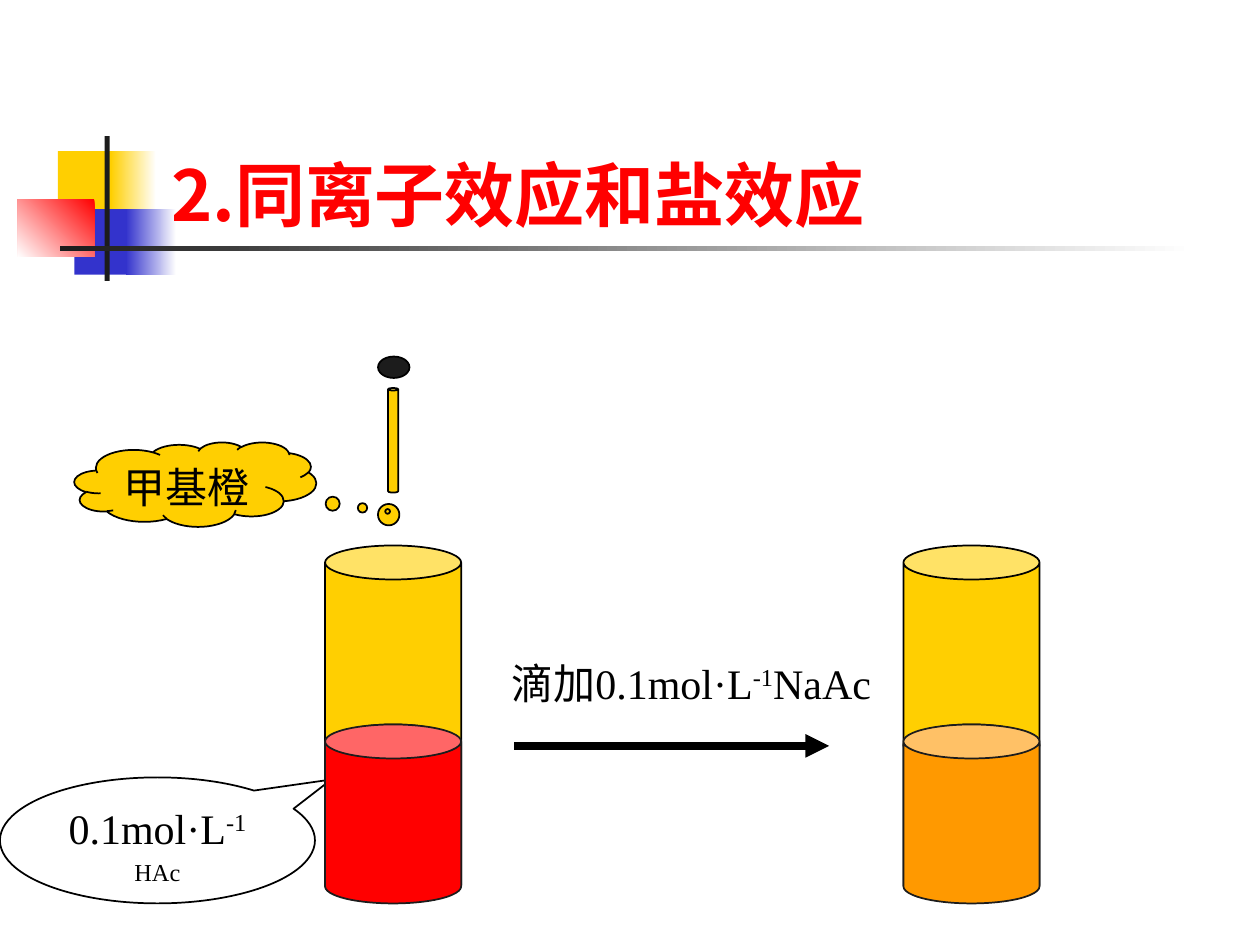
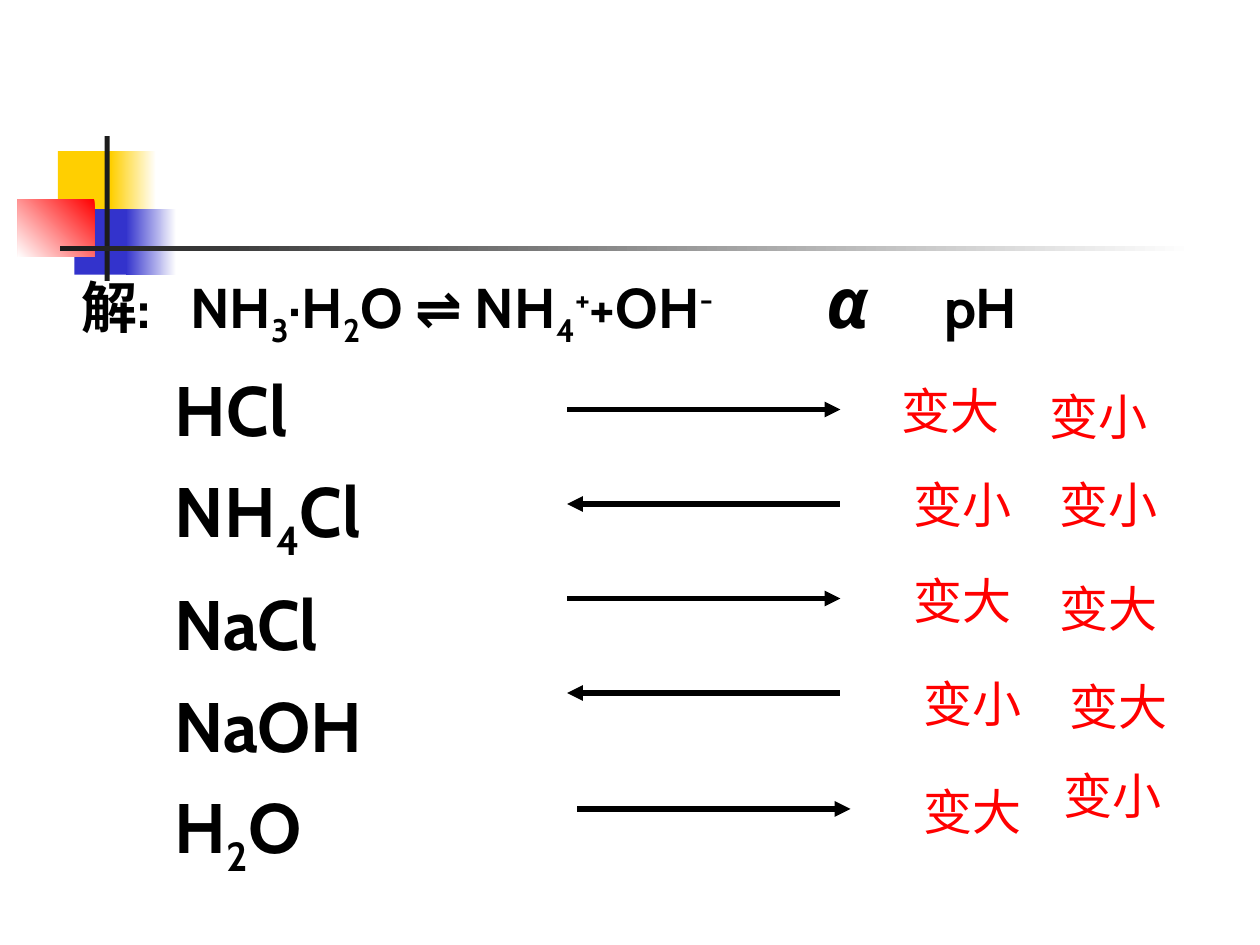
import dataclasses
import typing

import pptx
import pptx.dml.color
import pptx.enum.dml
import pptx.enum.shapes
import pptx.enum.text
import pptx.oxml
import pptx.oxml.ns
import pptx.util

Inches = pptx.util.Inches
Pt = pptx.util.Pt
Kind = pptx.enum.shapes.MSO_SHAPE
Align = pptx.enum.text.PP_ALIGN
Anchor = pptx.enum.text.MSO_ANCHOR

# Shared colours and fonts
GOLD, BLUE, RED, AMBER = "FFCF01", "3333CC", "FF0000", "FF9900"
WHITE, BLACK, DARK = "FFFFFF", "000000", "1C1C1C"
HAN, SERIF, SANS = "Noto Sans CJK SC", "Times New Roman", "Cabin"
SUB, SUP = -25, 30


class Box(typing.NamedTuple):
    left: float
    top: float
    width: float
    height: float


class Bit(typing.NamedTuple):
    text: str
    base: int = 0
    size: float = 0
    slant: bool = False


@dataclasses.dataclass(frozen=True)
class Style:
    font: str
    size: float
    color: str = BLACK
    bold: bool = False


@dataclasses.dataclass(frozen=True)
class Band:
    box: Box
    start: str
    end: str = ""
    angle: float = 180


@dataclasses.dataclass(frozen=True)
class Shift:
    left: float
    top: float
    back: bool
    alpha: tuple[str, float, float]
    acid: tuple[str, float, float]


TITLE = Style(HAN, 40, RED, True)
LABEL = Style(SERIF, 24)
MARK = Style(SERIF, 28, RED)
HEAD = Style(SANS, 32, bold=True)
ITEM = Style(SANS, 40, bold=True)

BANDS = [
    Band(Box(0.46, 1.2, 0.48, 0.52), GOLD),
    Band(Box(0.88, 1.2, 0.36, 0.52), WHITE, GOLD),
    Band(Box(0.59, 1.66, 0.46, 0.52), BLUE),
    Band(Box(1, 1.66, 0.4, 0.52), WHITE, BLUE),
    Band(Box(0.14, 1.58, 0.61, 0.46), RED, WHITE, 225),
    Band(Box(0.83, 1.08, 0.04, 1.15), DARK),
    Band(Box(0.48, 1.95, 9, 0.04), WHITE, DARK),
]


def tint(code: str):
    return pptx.dml.color.RGBColor.from_string(code)


def add_form(slide, kind, box: Box, fill: str, line: str = "", adjust=()):
    form = slide.shapes.add_shape(kind, *map(Inches, box))
    form.shadow.inherit = False
    form.fill.solid()
    form.fill.fore_color.rgb = tint(fill)
    if line:
        form.line.color.rgb = tint(line)
        form.line.width = Pt(1)
    else:
        form.line.fill.background()
    for index, value in enumerate(adjust):
        form.adjustments[index] = value
    return form


def add_band(slide, band: Band) -> None:
    form = add_form(slide, Kind.RECTANGLE, band.box, band.start)
    if band.end:
        form.fill.gradient()
        form.fill.gradient_angle = band.angle
        for stop, code in zip(form.fill.gradient_stops, (band.start, band.end)):
            stop.color.rgb = tint(code)


def add_bits(para, bits: list[Bit], style: Style) -> None:
    for bit in bits:
        run = para.add_run()
        run.text = bit.text
        font = run.font
        font.name = style.font
        font.size = Pt(bit.size or style.size)
        font.bold = style.bold
        font.italic = bit.slant
        font.color.rgb = tint(style.color)
        props = run._r.get_or_add_rPr()
        if bit.base:
            props.set("baseline", str(bit.base * 1000))
        east = pptx.oxml.parse_xml(
            f'<a:ea {pptx.oxml.ns.nsdecls("a")} typeface="{HAN}"/>')
        props.find(pptx.oxml.ns.qn("a:latin")).addnext(east)


def fill_text(form, lines: list[list[Bit]], style: Style, align=Align.LEFT):
    frame = form.text_frame
    frame.word_wrap = True
    frame.vertical_anchor = Anchor.TOP
    for index, bits in enumerate(lines):
        para = frame.add_paragraph() if index else frame.paragraphs[0]
        para.alignment = align
        add_bits(para, bits, style)
    return frame


def add_text(slide, box: Box, lines: list[list[Bit]], style: Style):
    return fill_text(slide.shapes.add_textbox(*map(Inches, box)), lines, style)


def add_tag(slide, box: Box, bits: list[Bit], style: Style) -> None:
    frame = add_text(slide, box, [bits], style)
    frame.auto_size = pptx.enum.text.MSO_AUTO_SIZE.SHAPE_TO_FIT_TEXT


def add_arrow(slide, left: float, top: float, width: float, weight: float,
              back: bool = False) -> None:
    line = slide.shapes.add_connector(
        pptx.enum.shapes.MSO_CONNECTOR.STRAIGHT,
        Inches(left), Inches(top), Inches(left + width), Inches(top))
    line.line.color.rgb = tint(BLACK)
    line.line.width = Pt(weight)
    space = pptx.oxml.ns.nsdecls("a")
    end = "headEnd" if back else "tailEnd"
    line.line._get_or_add_ln().append(
        pptx.oxml.parse_xml(f'<a:{end} {space} type="triangle"/>'))
    line._element.spPr.append(pptx.oxml.parse_xml(f"<a:effectLst {space}/>"))


def add_page(deck):
    slide = deck.slides.add_slide(deck.slide_layouts[6])
    for band in BANDS:
        add_band(slide, band)
    return slide


def set_tabs(para, stops: list[float]) -> None:
    tabs = "".join(f'<a:tab pos="{Inches(stop)}" algn="l"/>' for stop in stops)
    para._p.get_or_add_pPr().append(pptx.oxml.parse_xml(
        f'<a:tabLst {pptx.oxml.ns.nsdecls("a")}>{tabs}</a:tabLst>'))


def draw_test(deck) -> None:
    slide = add_page(deck)
    # Dropper tube and title
    add_form(slide, Kind.CAN, Box(3.08, 3.08, 0.08, 0.83), GOLD, BLACK, [0.25])
    title = add_text(slide, Box(1.26, 1.15, 5.79, 0.77),
                     [[Bit("2.同离子效应和盐效应")]], TITLE)
    title.vertical_anchor = Anchor.BOTTOM

    # Speech bubble naming the acid
    call = add_form(slide, Kind.OVAL_CALLOUT, Box(0, 6.17, 2.5, 1),
                    WHITE, BLACK, [0.552, -0.483])
    fill_text(call, [[Bit("0.1mol·L"), Bit("-1", SUP)], [Bit("HAc", SUP)]],
              LABEL, Align.CENTER)

    # Two vessels, each with its liquid
    for left, liquid in ((2.58, RED), (7.17, AMBER)):
        add_form(slide, Kind.CAN, Box(left, 4.33, 1.08, 2.83), GOLD, BLACK, [0.25])
        add_form(slide, Kind.OVAL, Box(left, 5.75, 1.08, 0.33), GOLD, BLACK)
        add_form(slide, Kind.CAN, Box(left, 5.75, 1.08, 1.42), liquid, DARK, [0.25])

    # Dropper bulb, drop and indicator
    add_form(slide, Kind.OVAL, Box(3, 2.83, 0.25, 0.17), DARK, BLACK)
    add_form(slide, Kind.OVAL, Box(3, 4, 0.17, 0.17), GOLD, BLACK)
    cloud = add_form(slide, Kind.CLOUD_CALLOUT, Box(0.59, 3.51, 1.92, 0.67),
                     GOLD, BLACK, [0.795, 0.32])
    fill_text(cloud, [[Bit("甲基橙")]], LABEL, Align.CENTER)

    # Added salt
    add_arrow(slide, 4.08, 5.92, 2.5, 4.5)
    add_tag(slide, Box(3.96, 5.17, 3.2, 0.5),
            [Bit("滴加0.1mol·L"), Bit("-1", SUP), Bit("NaAc")], LABEL)


def draw_shift(deck) -> None:
    slide = add_page(deck)
    # Equation heading and the added substances
    head = [Bit("解:\tNH"), Bit("3", SUB), Bit("·H"), Bit("2", SUB),
            Bit("O ⇌ NH"), Bit("4", SUB), Bit("+", SUP), Bit("+OH"),
            Bit("-", SUP), Bit("\t"), Bit("α", size=40, slant=True), Bit("\tpH")]
    items = [[Bit("HCl")], [Bit("NH"), Bit("4", SUB), Bit("Cl")],
             [Bit("NaCl")], [Bit("NaOH")], [Bit("H"), Bit("2", SUB), Bit("O")]]
    frame = add_text(slide, Box(0.55, 2, 9.45, 5.08), [head], HEAD)
    set_tabs(frame.paragraphs[0], [0.86, 5.91, 6.85])
    for bits in items:
        para = frame.add_paragraph()
        para.space_before = Pt(10)
        para._p.get_or_add_pPr().set("marL", str(Inches(0.74)))
        add_bits(para, bits, ITEM)

    # Direction of each shift, with the change of α and pH
    more, less = "变大", "变小"
    shifts = [
        Shift(4.5, 3.25, False, (more, 7.06, 2.97), (less, 8.23, 3.02)),
        Shift(4.5, 4, True, (less, 7.15, 3.72), (less, 8.31, 3.72)),
        Shift(4.5, 4.75, False, (more, 7.15, 4.48), (more, 8.31, 4.54)),
        Shift(4.5, 5.5, True, (less, 7.23, 5.3), (more, 8.39, 5.32)),
        Shift(4.58, 6.42, False, (more, 7.23, 6.15), (less, 8.34, 6.03)),
    ]
    for shift in shifts:
        add_arrow(slide, shift.left, shift.top, 2.17, 3, shift.back)
        for text, left, top in (shift.alpha, shift.acid):
            add_tag(slide, Box(left, top, 1.02, 0.57), [Bit(text)], MARK)


def main() -> None:
    deck = pptx.Presentation()
    deck.slide_width, deck.slide_height = Inches(10), Inches(7.5)
    draw_test(deck)
    draw_shift(deck)
    deck.save("out.pptx")


if __name__ == "__main__":
    main()
